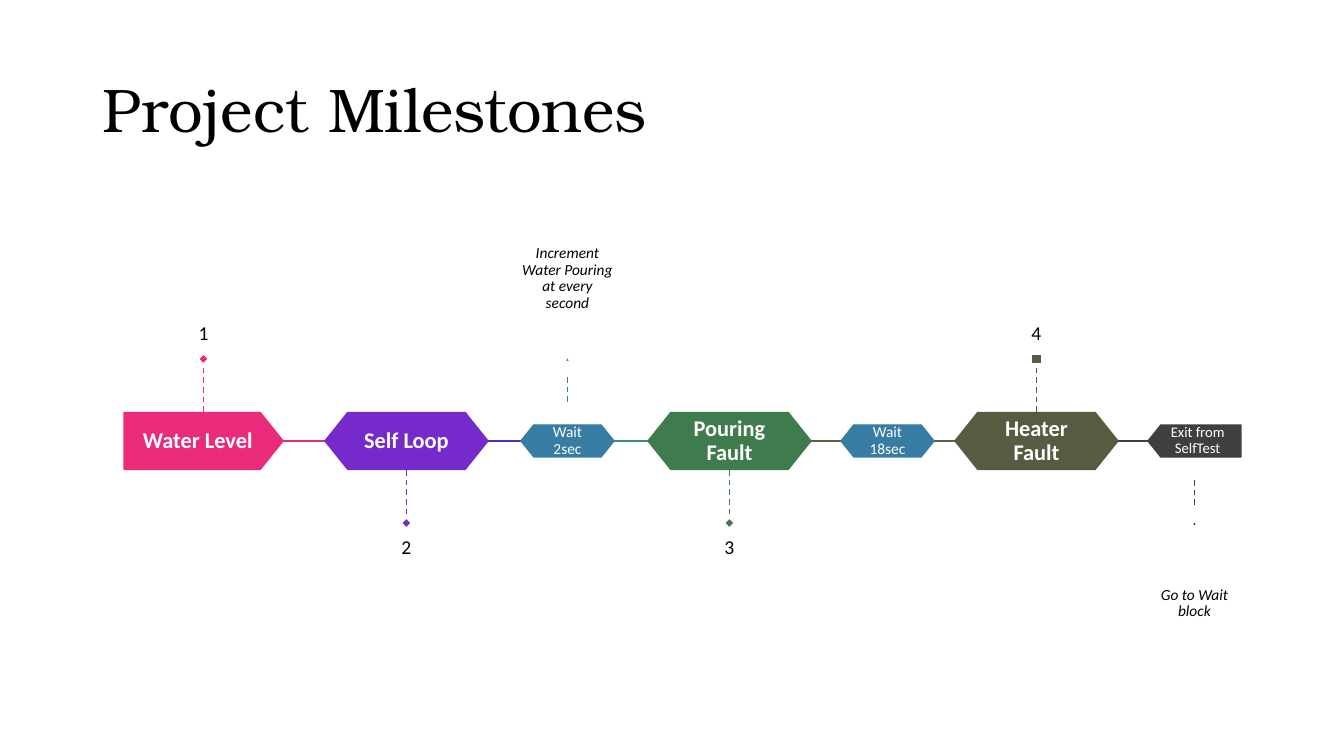
from lxml.etree import SubElement
from pptx import Presentation
from pptx.dml.color import RGBColor
from pptx.enum.dml import MSO_LINE
from pptx.enum.shapes import MSO_CONNECTOR, MSO_SHAPE
from pptx.enum.text import MSO_ANCHOR, PP_ALIGN
from pptx.oxml.ns import qn
from pptx.util import Emu, Pt

# Content
TITLE = "Project Milestones"
COLORS = {
    "black": "000000", "white": "FFFFFF", "pink": "EA2B7B", "violet": "762ACC",
    "indigo": "492EC1", "blue": "377CA2", "teal": "3B8E7D", "green": "3F7C4D",
    "moss": "556341", "olive": "585B41", "gray": "3F3F3F",
}
HEXAGON, PENTAGON = MSO_SHAPE.HEXAGON, MSO_SHAPE.PENTAGON
DIAMOND, SQUARE, TRIANGLE = MSO_SHAPE.DIAMOND, MSO_SHAPE.RECTANGLE, MSO_SHAPE.ISOSCELES_TRIANGLE
# text, size class, outline, left, colour, note, side (-1 above, 1 below), marker
STEPS = [
    ("Water Level", "start", PENTAGON, 124, "pink", "1", -1, DIAMOND),
    ("Self Loop", "major", HEXAGON, 325, "violet", "2", 1, DIAMOND),
    ("Wait 2sec", "minor", HEXAGON, 521, "blue",
     "Increment Water Pouring at every second", -1, TRIANGLE),
    ("Pouring Fault", "major", HEXAGON, 648, "green", "3", 1, DIAMOND),
    ("Wait 18sec", "minor", HEXAGON, 841, "blue", None, 0, None),
    ("Heater Fault", "major", HEXAGON, 955, "olive", "4", -1, SQUARE),
    ("Exit from SelfTest", "end", PENTAGON, 1148, "gray", "Go to Wait block", 1, TRIANGLE),
]
# first step, next step, colour
LINKS = [(0, 1, "pink"), (1, 2, "indigo"), (2, 3, "teal"), (3, 5, "moss"), (5, 6, "gray")]

# Sizes in px; stem and note give the near and far distance from the axis
MAJOR = {"width": 163, "height": 57, "size": 16, "bold": True, "inset": 13,
         "stem": (29, 77), "marker": 10,
         "note": (86, 239), "note_width": 227, "note_format": {"size": 14, "inset": 14}}
MINOR = {"width": 93, "height": 32, "size": 11, "bold": False, "inset": 9,
         "stem": (39, 66), "marker": 5,
         "note": (131, 194), "note_width": 93,
         "note_format": {"size": 11, "inset": 11, "italic": True}}
SIZES = {"start": {**MAJOR, "width": 159}, "major": MAJOR,
         "minor": MINOR, "end": {**MINOR, "size": 10.5}}
AXIS, MARKER_DISTANCE, POINT, HEXAGON_TRIM = 441, 82, 0.4, 0.74
PX = 914400 / 100.8


def px(length):
    return Emu(round(length * PX))


def rgb(name):
    return RGBColor.from_string(COLORS[name])


presentation = Presentation()
presentation.slide_width, presentation.slide_height = px(1344), px(756)
slide = presentation.slides.add_slide(presentation.slide_layouts[6])


def add_text(text, left, top, width, height, *, size, color="black", font="Calibri",
             bold=False, italic=False, align=PP_ALIGN.CENTER,
             anchor=MSO_ANCHOR.MIDDLE, inset=0, side_inset=0):
    box = slide.shapes.add_textbox(px(left), px(top), px(width), px(height))
    frame = box.text_frame
    frame.word_wrap = True
    frame.vertical_anchor = anchor
    frame.margin_left = frame.margin_right = px(side_inset)
    frame.margin_top = frame.margin_bottom = px(inset)
    paragraph = frame.paragraphs[0]
    paragraph.alignment = align
    paragraph.line_spacing = 0.9
    run = paragraph.add_run()
    run.text = text
    run.font.name, run.font.size = font, Pt(size)
    run.font.bold, run.font.italic = bold, italic
    run.font.color.rgb = rgb(color)


def add_filled(outline, left, top, width, height, fill, line):
    shape = slide.shapes.add_shape(outline, px(left), px(top), px(width), px(height))
    shape.shadow.inherit = False
    shape.fill.solid()
    shape.fill.fore_color.rgb = rgb(fill)
    shape.line.color.rgb = rgb(line)
    shape.line.width = Pt(1)
    return shape


def add_line(x1, y1, x2, y2, color, dashed=False):
    connector = slide.shapes.add_connector(MSO_CONNECTOR.STRAIGHT, px(x1), px(y1), px(x2), px(y2))
    connector.line.color.rgb = rgb(color)
    connector.line.width = Pt(1)
    if dashed:
        connector.line.dash_style = MSO_LINE.DASH
    SubElement(connector._element.spPr, qn("a:effectLst"))


def add_step(text, kind, outline, left, color):
    size = SIZES[kind]
    width, height = size["width"], size["height"]
    shape = add_filled(outline, left, AXIS - height / 2, width, height, color, color)
    shape.adjustments[0] = POINT
    if kind == "end":
        shape.rotation = 180
    # Text keeps clear of the pointed ends
    if outline == HEXAGON:
        trim = height * HEXAGON_TRIM
        text_left, text_height = left + trim / 2, height * HEXAGON_TRIM
    else:
        trim = height * POINT / 2
        text_left, text_height = left + (trim if kind == "end" else 0), height
    add_text(text, text_left, AXIS - text_height / 2, width - trim, text_height,
             size=size["size"], bold=size["bold"], color="white",
             inset=size["inset"], side_inset=size["inset"])


def add_note(note, kind, left, color, side, marker):
    size = SIZES[kind]
    center = left + size["width"] / 2
    near, far = size["stem"]
    add_line(center, AXIS + side * near, center, AXIS + side * far, color, dashed=True)
    edge = size["marker"]
    add_filled(marker, center - edge / 2, AXIS + side * MARKER_DISTANCE - edge / 2,
               edge, edge, color, "white")
    near, far = size["note"]
    if size["note_format"].get("italic"):
        anchor = MSO_ANCHOR.MIDDLE
    else:
        anchor = MSO_ANCHOR.TOP if side > 0 else MSO_ANCHOR.BOTTOM
    add_text(note, center - size["note_width"] / 2, AXIS + (near if side > 0 else -far),
             size["note_width"], far - near, anchor=anchor, **size["note_format"])


# Title
add_text(TITLE, 93, 40, 1159, 146, size=44, font="TeX Gyre Bonum",
         align=PP_ALIGN.LEFT, inset=5, side_inset=10)

# Links run behind the steps
for first, following, color in LINKS:
    _, kind, _, left, *_ = STEPS[first]
    add_line(left + SIZES[kind]["width"], AXIS, STEPS[following][3], AXIS, color)

# Steps with their notes
for text, kind, outline, left, color, note, side, marker in STEPS:
    add_step(text, kind, outline, left, color)
    if note:
        add_note(note, kind, left, color, side, marker)

presentation.save("out.pptx")
